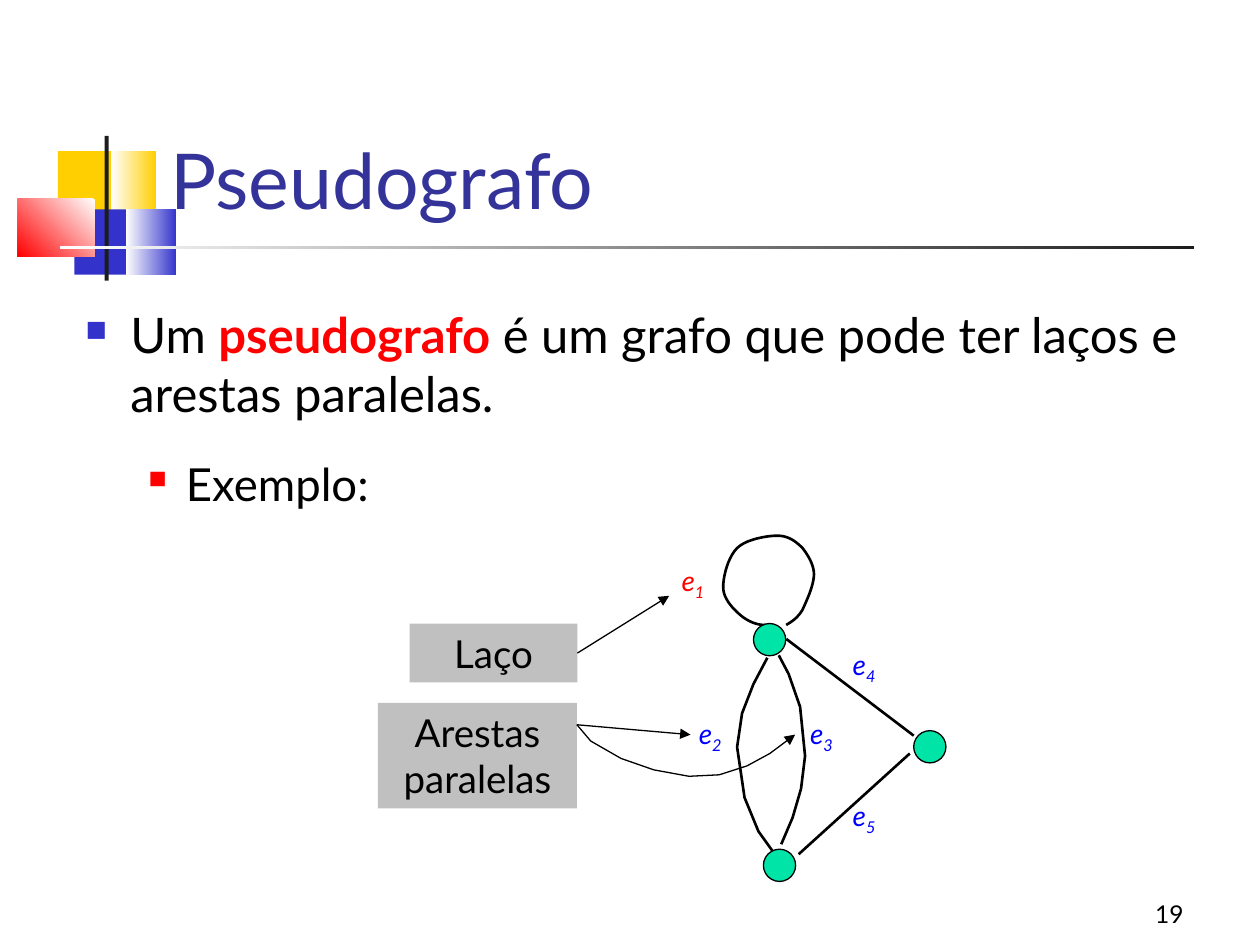
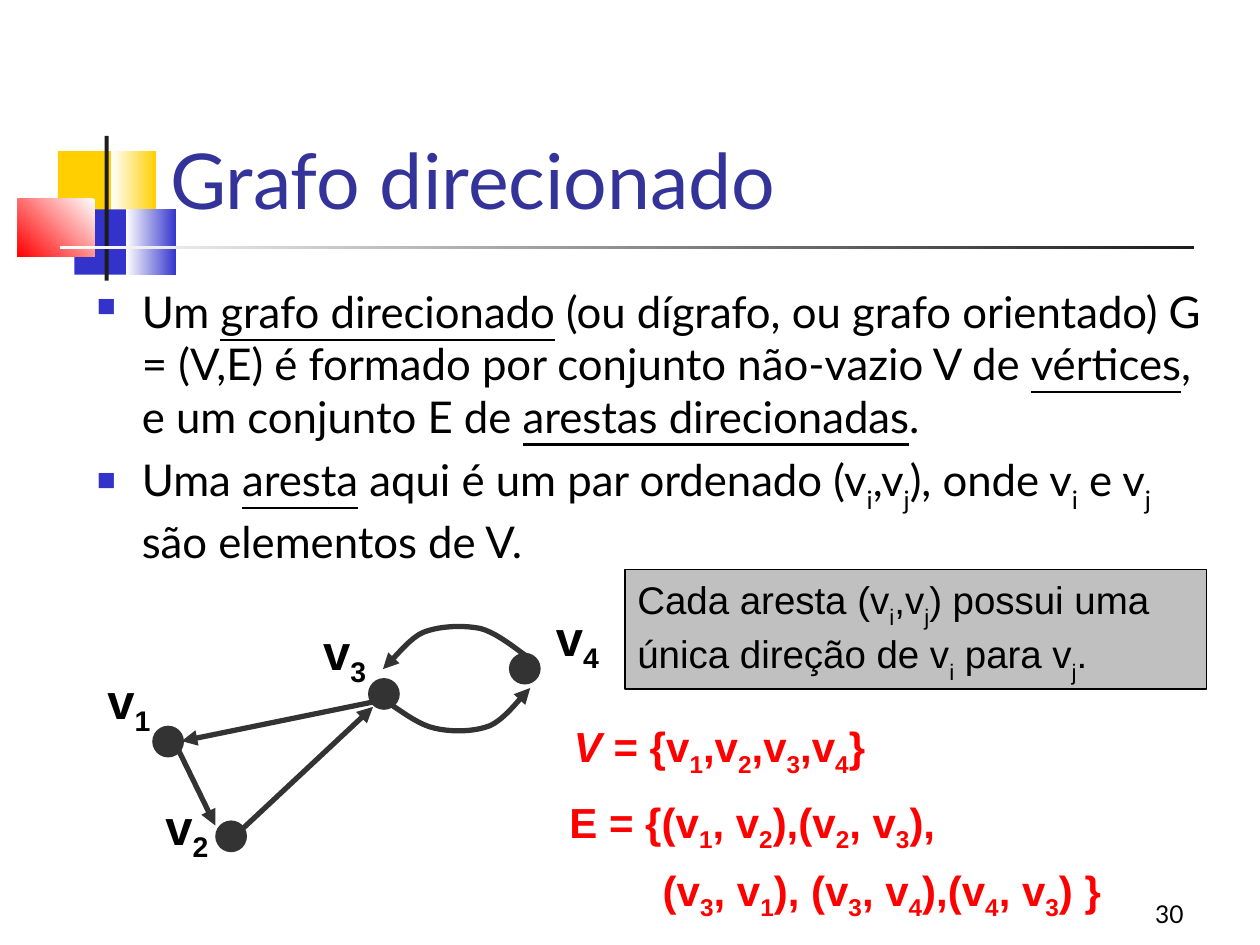
"""Build two lecture slides on pseudographs and directed graphs."""
from lxml import etree
from pptx import Presentation
from pptx.dml.color import RGBColor
from pptx.enum import shapes, text
from pptx.oxml import ns
from pptx.util import Cm, Pt

BLACK = RGBColor(0, 0, 0)
WHITE = RGBColor(255, 255, 255)
RED = RGBColor(255, 0, 0)
BLUE = RGBColor(0, 0, 255)
NAVY = RGBColor(0x33, 0x33, 0x99)
ROYAL = RGBColor(0x33, 0x33, 0xCC)
GOLD = RGBColor(0xFF, 0xCF, 0x01)
COAL = RGBColor(0x1C, 0x1C, 0x1C)
DARK = RGBColor(0x33, 0x33, 0x33)
MINT = RGBColor(0x00, 0xE4, 0xA8)
GREY = RGBColor(0xC0, 0xC0, 0xC0)

RECT = shapes.MSO_SHAPE.RECTANGLE
OVAL = shapes.MSO_SHAPE.OVAL
LEFT, MID, RIGHT = text.PP_ALIGN.LEFT, text.PP_ALIGN.CENTER, text.PP_ALIGN.RIGHT
TOP, LOW = text.MSO_ANCHOR.TOP, text.MSO_ANCHOR.BOTTOM


def place(page, at, kind=None, fill=None, fade=None, angle=0, edge=None, anchor=TOP):
    """Add a text box, or a preset shape if a kind is given."""
    spot = [Cm(v) for v in at]
    if kind is None:
        item = page.shapes.add_textbox(*spot)
    else:
        item = page.shapes.add_shape(kind, *spot)
        item.shadow.inherit = False
        if fade is None:
            item.fill.solid()
            item.fill.fore_color.rgb = fill
        else:
            item.fill.gradient()
            item.fill.gradient_angle = angle
            for stop, tone in zip(item.fill.gradient_stops, (fill, fade)):
                stop.color.rgb = tone
        if edge is None:
            item.line.fill.background()
        else:
            item.line.color.rgb = edge
            item.line.width = Pt(0.75)
    item.text_frame.word_wrap = True
    item.text_frame.vertical_anchor = anchor
    return item


def write(host, words, size=22, font="Lato", color=BLACK, bold=False, slant=False,
          align=LEFT, before=0, sub=-25, left=0, hang=0, dot=None, scale=60):
    """Add a paragraph; runs split at | may start with _ sub, + underline, * key, / italic."""
    frame = host.text_frame
    para = frame.add_paragraph() if frame.text else frame.paragraphs[0]
    para.alignment = align
    para.space_before = Pt(before)
    props = para._p.get_or_add_pPr()
    props.set("marL", str(Cm(left)))
    props.set("indent", str(-Cm(hang)))
    if dot is not None:
        tint = etree.SubElement(props, ns.qn("a:buClr"))
        etree.SubElement(tint, ns.qn("a:srgbClr"), val=str(dot))
        etree.SubElement(props, ns.qn("a:buSzPct"), val=str(scale * 1000))
        etree.SubElement(props, ns.qn("a:buChar"), char="■")
    for part in words.split("|"):
        mark = part[0] if part[0] in "_+*/" else ""
        run = para.add_run()
        run.text = part[len(mark):]
        run.font.name = font
        run.font.size = Pt(size)
        run.font.bold = bold or mark == "*"
        run.font.italic = slant or mark == "/"
        run.font.underline = mark == "+"
        run.font.color.rgb = RED if mark == "*" else color
        if mark == "_":
            run._r.get_or_add_rPr().set("baseline", str(sub * 1000))


deck = Presentation()
deck.slide_width, deck.slide_height = Cm(25.4), Cm(19.05)

decor = [
    ((1.17, 3.05, 1.22, 1.32), GOLD, None, 0),
    ((2.24, 3.05, 0.91, 1.32), GOLD, WHITE, 180),
    ((1.5, 4.22, 1.17, 1.32), ROYAL, None, 0),
    ((2.54, 4.22, 1.02, 1.32), ROYAL, WHITE, 180),
    ((0.36, 4.01, 1.55, 1.17), WHITE, RED, 225),
    ((2.11, 2.74, 0.08, 2.92), COAL, None, 0),
    ((1.22, 4.95, 22.86, 0.08), COAL, WHITE, 180),
]
pages = []
for title, number in (("Pseudografo", "19"), ("Grafo direcionado", "30")):
    page = deck.slides.add_slide(deck.slide_layouts[6])
    for at, fill, fade, angle in decor:
        place(page, at, RECT, fill, fade, angle)
    write(place(page, (3.18, 1.47, 21.64, 3.18), anchor=LOW), title, size=44, color=NAVY)
    write(place(page, (18.85, 17.58, 5.26, 1.27), anchor=LOW), number, size=14, align=RIGHT)
    pages.append(page)
pseudo, direct = pages

body = place(pseudo, (1.47, 6.02, 22.76, 4.95))
write(body, "Um |*pseudografo| é um grafo que pode ter laços e arestas paralelas.",
      size=28, left=0.91, hang=0.91, dot=ROYAL)
write(body, "Exemplo:", size=26, before=19, left=2.03, hang=0.76, dot=RED, scale=55)

body = place(direct, (1.7, 5.61, 23.14, 8.48))
for words in (
    "Um |+grafo direcionado| (ou dígrafo, ou grafo orientado) G = (V,E) é formado por "
    "conjunto não-vazio V de |+vértices|, e um conjunto E de |+arestas direcionadas|.",
    "Uma |+aresta| aqui é um par ordenado (v|_i|,v|_j|), onde v|_i| e v|_j| são elementos de V.",
):
    write(body, words, size=25, before=6.2, sub=-30, left=0.91, hang=0.91, dot=ROYAL)

loop = place(pseudo, (8.26, 12.57, 3.38, 1.19), RECT, GREY)
write(loop, "Laço", align=MID)
twin = place(pseudo, (7.62, 14.17, 4.01, 2.13), RECT, GREY)
write(twin, "Arestas paralelas", align=MID)
note = place(direct, (12.6, 11.48, 11.73, 2.41), RECT, GREY, edge=BLACK)
write(note, "Cada aresta (v|_i|,v|_j|) possui uma única direção de v|_i| para v|_j|.",
      font="Arial", sub=-30)

bright = dict(size=24, font="Arial", color=RED, bold=True)
write(place(direct, (8.69, 14.4, 11.63, 1.42)),
      "/V| = {v|_1|,v|_2|,v|_3|,v|_4|}", align=MID, **bright)
edges = place(direct, (11.23, 15.93, 12.5, 2.79))
write(edges, "E = {(v|_1|, v|_2|),(v|_2|, v|_3|),", **bright)
write(edges, "(v|_3|, v|_1|), (v|_3|, v|_4|),(v|_4|, v|_3|) }", before=6, left=1.88, **bright)

thin, thick, bold = (BLACK, 0.75, True), (BLACK, 1.5, False), (DARK, 3, True)
strokes = [
    (pseudo, thin, False, None, [
        (11.63, 14.61), (11.91, 14.94), (12.52, 15.29), (13.18, 15.52), (13.89, 15.65),
        (14.5, 15.62), (15.06, 15.44), (15.52, 15.19), (16.03, 14.81)]),
    (pseudo, thick, True, None, [
        (15.42, 12.6), (15.19, 12.6), (14.99, 12.47), (14.86, 12.34),
        (14.73, 12.22), (14.58, 12.04), (14.58, 11.84),
        (14.58, 11.61), (14.68, 11.23), (14.86, 11.05),
        (15.04, 10.87), (15.47, 10.8), (15.67, 10.8),
        (15.9, 10.8), (16.05, 10.92), (16.18, 11.05),
        (16.28, 11.18), (16.41, 11.38), (16.41, 11.58),
        (16.41, 11.79), (16.26, 12.12), (16.18, 12.29),
        (16.08, 12.47), (15.93, 12.55), (15.85, 12.6)]),
    (pseudo, thick, False, None, [(16.1, 17.22), (18.34, 15.19)]),
    (pseudo, thick, False, None, [(15.85, 12.88), (18.42, 14.83)]),
    (pseudo, thick, False, None, [
        (15.7, 13.21), (15.9, 13.59), (16.13, 14.25), (16.23, 15.24),
        (16.15, 15.9), (15.98, 16.48), (15.75, 17.02)]),
    (pseudo, thick, False, None, [
        (15.57, 17.15), (15.29, 16.76), (15.01, 16.08), (14.86, 15.06),
        (14.96, 14.38), (15.19, 13.79), (15.47, 13.26)]),
    (pseudo, thin, False, loop, [(11.64, 13.16), (13.49, 12.01)]),
    (pseudo, thin, False, None, [(11.63, 14.61), (13.92, 14.81)]),
    (direct, bold, False, None, [(3.51, 14.94), (4.34, 16.64)]),
    (direct, bold, False, None, [(7.77, 14.1), (3.66, 14.94)]),
    (direct, bold, False, None, [(4.78, 16.81), (7.52, 14.25)]),
    (direct, bold, True, None, [
        (7.82, 14.17), (7.98, 14.25), (8.41, 14.61), (8.76, 14.68),
        (9.09, 14.76), (9.55, 14.76), (9.88, 14.63),
        (10.21, 14.48), (10.52, 14.02), (10.69, 13.87)]),
    (direct, bold, True, None, [
        (10.59, 13.21), (10.44, 13.11), (10.01, 12.75), (9.68, 12.67),
        (9.32, 12.6), (8.86, 12.62), (8.53, 12.75),
        (8.23, 12.88), (7.9, 13.34), (7.72, 13.49)]),
]
STEPS = 10
for page, (color, width, arrow), curved, host, dots in strokes:
    if curved:
        path = dots[:1]
        for k in range(0, len(dots) - 1, 3):
            for step in range(1, STEPS + 1):
                t = step / STEPS
                mix = ((1 - t) ** 3, 3 * t * (1 - t) ** 2, 3 * t * t * (1 - t), t ** 3)
                path.append([sum(m * dot[axis] for m, dot in zip(mix, dots[k:k + 4]))
                             for axis in (0, 1)])
        dots = path
    spots = [(Cm(x), Cm(y)) for x, y in dots]
    if len(spots) == 2:
        line = page.shapes.add_connector(shapes.MSO_CONNECTOR.STRAIGHT, *spots[0], *spots[1])
        if host is not None:
            line.begin_connect(host, 3)
    else:
        form = page.shapes.build_freeform(*spots[0])
        form.add_line_segments(spots[1:], close=False)
        line = form.convert_to_shape()
        line.fill.background()
    line.line.color.rgb = color
    line.line.width = Pt(width)
    if arrow:
        etree.SubElement(line.line._get_or_add_ln(), ns.qn("a:tailEnd"), type="triangle")
    etree.SubElement(line._element.spPr, ns.qn("a:effectLst"))

for x, y in ((15.19, 12.57), (15.39, 17.12), (18.42, 14.73)):
    place(pseudo, (x, y, 0.65, 0.65), OVAL, MINT, edge=BLACK)
for x, y in ((3.07, 14.63), (4.34, 16.54), (7.42, 13.67), (10.26, 13.16)):
    place(direct, (x, y, 0.64, 0.64), OVAL, DARK)

names = [(13.49, 11.23, RED), (13.84, 14.33, BLUE), (16.08, 14.33, BLUE),
         (16.94, 12.93, BLUE), (16.94, 15.98, BLUE)]
for k, (x, y, color) in enumerate(names, 1):
    write(place(pseudo, (x, y, 1.75, 1.37)), f"e|_{k}", size=16, color=color, slant=True)
for k, (x, y) in enumerate([(1.7, 13.39), (2.87, 15.93), (6.05, 12.4), (10.74, 12.12)], 1):
    write(place(direct, (x, y, 1.8, 1.6)), f"v|_{k}", size=28, font="Arial", bold=True, align=MID)

deck.save("out.pptx")
